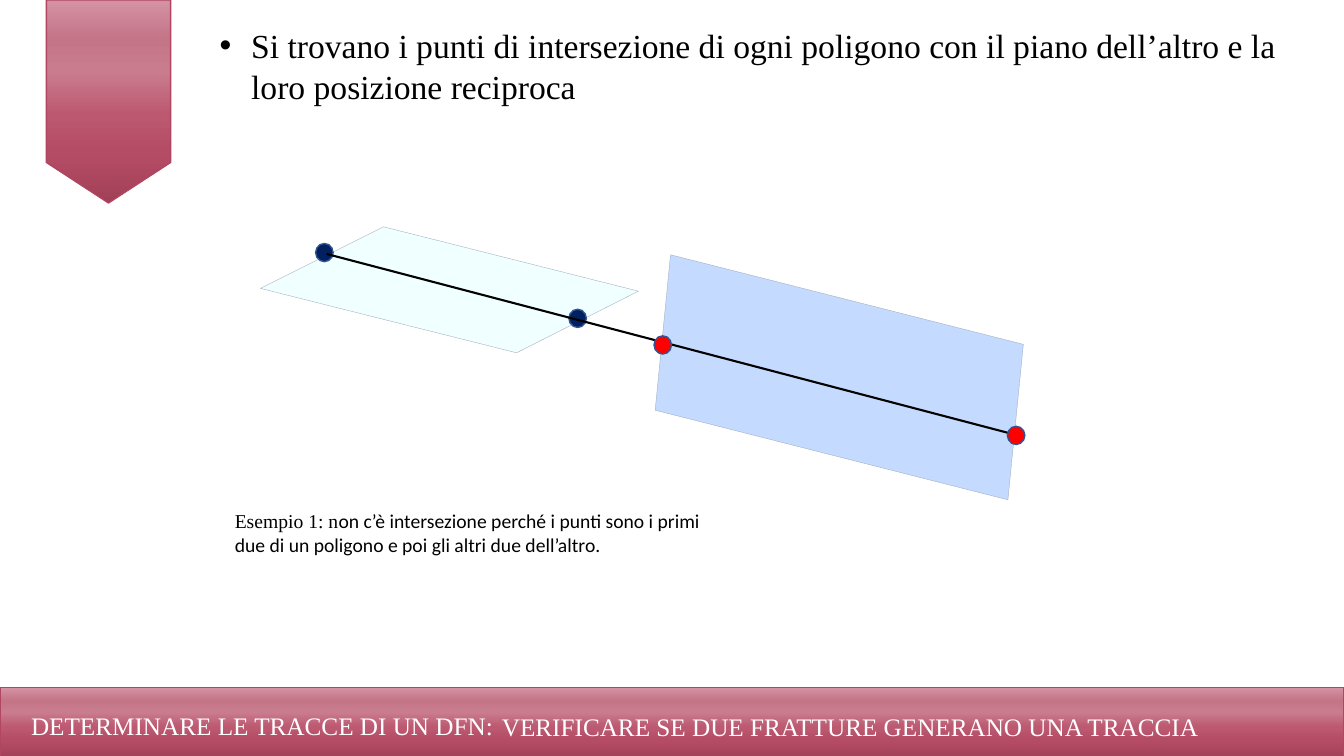
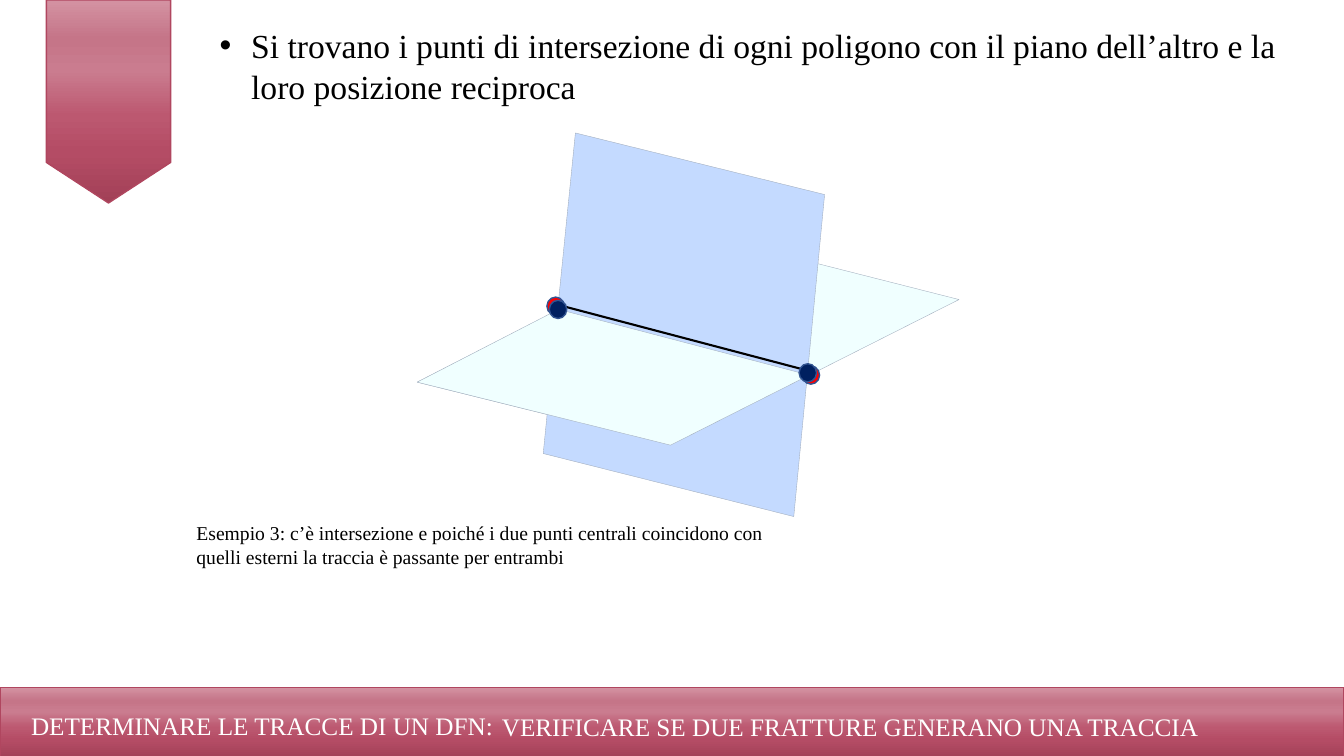
import pptx
import pptx.util
import pptx.dml.color
import pptx.enum.shapes
import pptx.oxml
import pptx.oxml.ns
from lxml import etree

Pt = pptx.util.Pt
RGBColor = pptx.dml.color.RGBColor
SHAPES = pptx.enum.shapes.MSO_SHAPE

# Shared style
BLACK = RGBColor(0x00, 0x00, 0x00)
WHITE = RGBColor(0xFF, 0xFF, 0xFF)
RED = RGBColor(0xFF, 0x00, 0x00)
NAVY = RGBColor(0x00, 0x20, 0x60)
DOT_EDGE = RGBColor(0x32, 0x54, 0x91)
PALE_PANE = RGBColor(0xF0, 0xFF, 0xFF)
BLUE_PANE = RGBColor(0xC4, 0xDA, 0xFF)
PANE_EDGE = RGBColor(0xA0, 0xAC, 0xBC)
WINE = RGBColor(0xB0, 0x46, 0x5F)
WINE_STOPS = [(0, "A24057"), (25, "B44C65"), (43, "BC5870"),
              (65, "CA7C8F"), (81, "C57588"), (99, "D391A1")]
SERIF, SANS = "Times New Roman", "Calibri"
DOT_WIDTH, DOT_HEIGHT = 12.5, 13
BULLET_INDENT = 22.5


def add_text(page, text, *, at, size, font=SERIF, color=BLACK, wrap=True,
             bullet=False):
    """Add a text box; text is a string or a list of (text, font) spans.

    A line feed in the text becomes a line break.
    """
    box = page.shapes.add_textbox(*map(Pt, at))
    box.text_frame.word_wrap = wrap
    para = box.text_frame.paragraphs[0]
    if bullet:
        properties = para._p.get_or_add_pPr()
        properties.set("marL", str(Pt(BULLET_INDENT)))
        properties.set("indent", str(-Pt(BULLET_INDENT)))
        for tag, name, value in (("a:buFont", "typeface", "Arial"),
                                 ("a:buChar", "char", "•")):
            element = etree.SubElement(properties, pptx.oxml.ns.qn(tag))
            element.set(name, value)
    spans = [(text, font)] if isinstance(text, str) else text
    for words, face in spans:
        for number, line in enumerate(words.split("\n")):
            if number:
                para.add_line_break()
            span = para.add_run()
            span.text = line
            span.font.size = Pt(size)
            span.font.name = face
            span.font.color.rgb = color


def style_shape(shape, fill, edge, width):
    """Set a plain colour, or a vertical gradient from a list of stops."""
    shape.shadow.inherit = False
    shape.line.color.rgb = edge
    shape.line.width = Pt(width)
    if isinstance(fill, RGBColor):
        shape.fill.solid()
        shape.fill.fore_color.rgb = fill
        return
    shape.fill.gradient()
    shape.fill.gradient_angle = 90
    stops = shape._element.spPr.find(".//" + pptx.oxml.ns.qn("a:gsLst"))
    for old_stop in list(stops):
        stops.remove(old_stop)
    for percent, color in fill:
        stop = etree.SubElement(stops, pptx.oxml.ns.qn("a:gs"))
        stop.set("pos", str(percent * 1000))
        etree.SubElement(stop, pptx.oxml.ns.qn("a:srgbClr")).set("val", color)


# Drawings from back to front: panes by corners, dots by centres, traces by ends
SEPARATE_FRACTURES = [
    ("pane", PALE_PANE, [(186.4, 206.4), (274.3, 161.6), (455.7, 207.9), (368.6, 252.1)]),
    ("pane", BLUE_PANE, [(479.3, 181.6), (731.4, 246.4), (720.3, 357), (467.9, 292.9)]),
    ("dots", NAVY, [(412.6, 227.4), (231.7, 180.4)]),
    ("trace", BLACK, [(233.3, 181.4), (724.3, 310.3)]),
    ("dots", RED, [(473.4, 246.4), (725.8, 311)]),
]
CROSSING_FRACTURES = [
    ("pane", PALE_PANE, [(297.9, 272.6), (503.6, 167.9), (685, 213.6), (479.3, 318.5)]),
    ("pane", BLUE_PANE, [(411, 95), (589.3, 139.3), (566.6, 369), (388.1, 324)]),
    ("dots", RED, [(396.9, 218.7), (579.2, 267.9)]),
    ("pane", PALE_PANE, [(297.9, 272.6), (398.6, 221.2), (577.5, 268.4), (479.3, 318.5)]),
    ("trace", BLACK, [(394.6, 216.7), (583.2, 266.4)]),
    ("dots", NAVY, [(398.6, 221), (577, 266.3)]),
]
SLIDES = [
    (SEPARATE_FRACTURES, (160.6, 360, 450, 41),
     [("Esempio 1: n", SERIF),
      ("on c’è intersezione perché i punti sono i primi\n"
       "due di un poligono e poi gli altri due dell’altro.", SANS)]),
    (CROSSING_FRACTURES, (133.2, 368.6, 450, 41),
     "Esempio 3: c’è intersezione e poiché i due punti centrali coincidono con "
     "quelli esterni la traccia è passante per entrambi"),
]

deck = pptx.Presentation()
deck.slide_width, deck.slide_height = Pt(960), Pt(540)

for drawing, caption_at, caption in SLIDES:
    page = deck.slides.add_slide(deck.slide_layouts[6])

    # Ribbon and footer band
    for preset, at in ((SHAPES.FLOWCHART_OFFPAGE_CONNECTOR, (33.1, 0, 88.8, 145)),
                       (SHAPES.RECTANGLE, (0, 491, 960, 50.4))):
        style_shape(page.shapes.add_shape(preset, *map(Pt, at)),
                    WINE_STOPS, WINE, 1)
    add_text(page, "DETERMINARE LE TRACCE DI UN DFN:",
             at=(15.1, 504, 555, 29), size=18, color=WHITE)
    add_text(page, "VERIFICARE SE DUE FRATTURE GENERANO UNA TRACCIA",
             at=(351.4, 504.7, 517, 29), size=18, color=WHITE, wrap=False)

    # Main point
    add_text(page, "Si trovano i punti di intersezione di ogni poligono con "
             "il piano dell’altro e la loro posizione reciproca",
             at=(149.8, 14.4, 776.9, 66), size=24, bullet=True)

    # Fractures, intersection points and trace
    for kind, color, points in drawing:
        if kind == "pane":
            outline = page.shapes.build_freeform(
                *points[0], scale=float(Pt(1)))
            outline.add_line_segments(points[1:], close=True)
            style_shape(outline.convert_to_shape(), color, PANE_EDGE, 0.25)
        elif kind == "dots":
            for x, y in points:
                dot = page.shapes.add_shape(
                    SHAPES.OVAL, Pt(x - DOT_WIDTH / 2), Pt(y - DOT_HEIGHT / 2),
                    Pt(DOT_WIDTH), Pt(DOT_HEIGHT))
                style_shape(dot, color, DOT_EDGE, 1)
        else:
            start, end = points
            trace = page.shapes.add_connector(
                pptx.enum.shapes.MSO_CONNECTOR.STRAIGHT, *map(Pt, start + end))
            trace.line.color.rgb = color
            trace.line.width = Pt(1.5)
            etree.SubElement(trace._element.spPr,
                             pptx.oxml.ns.qn("a:effectLst"))

    add_text(page, caption, at=caption_at, size=14)

deck.save("out.pptx")
